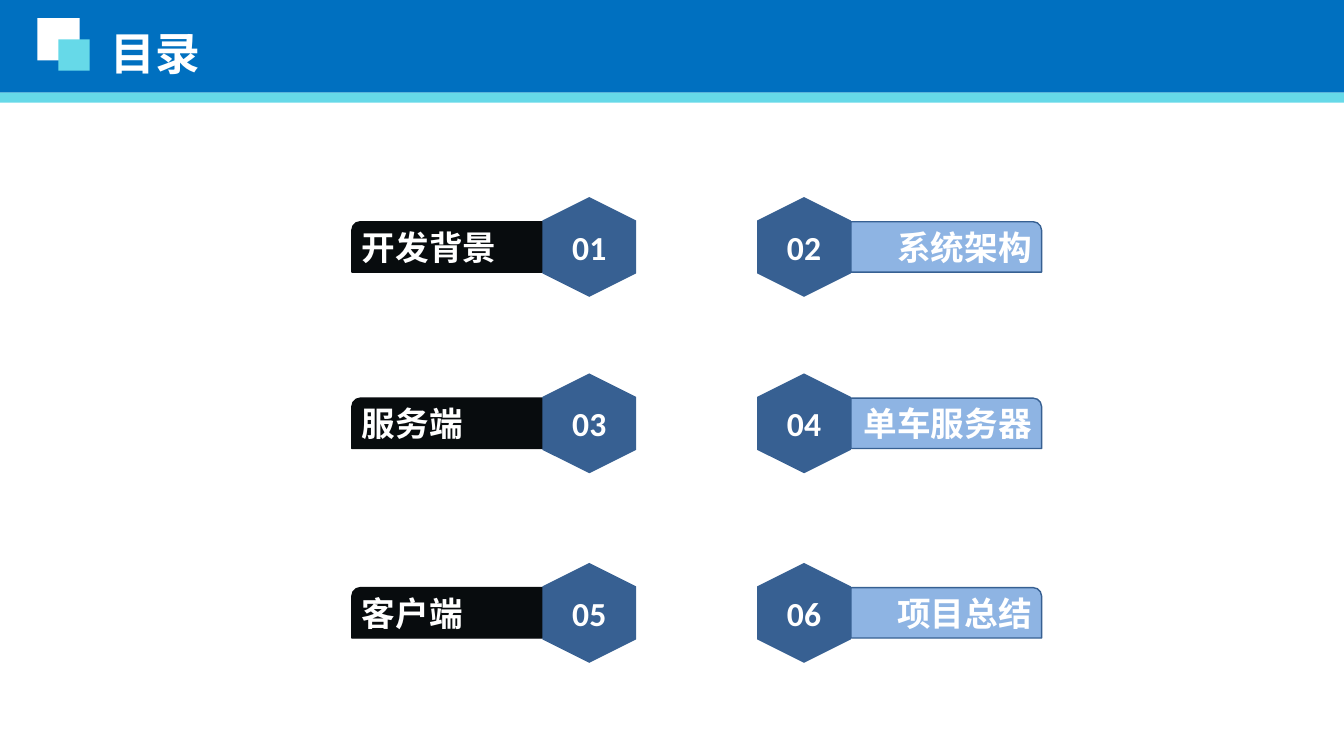
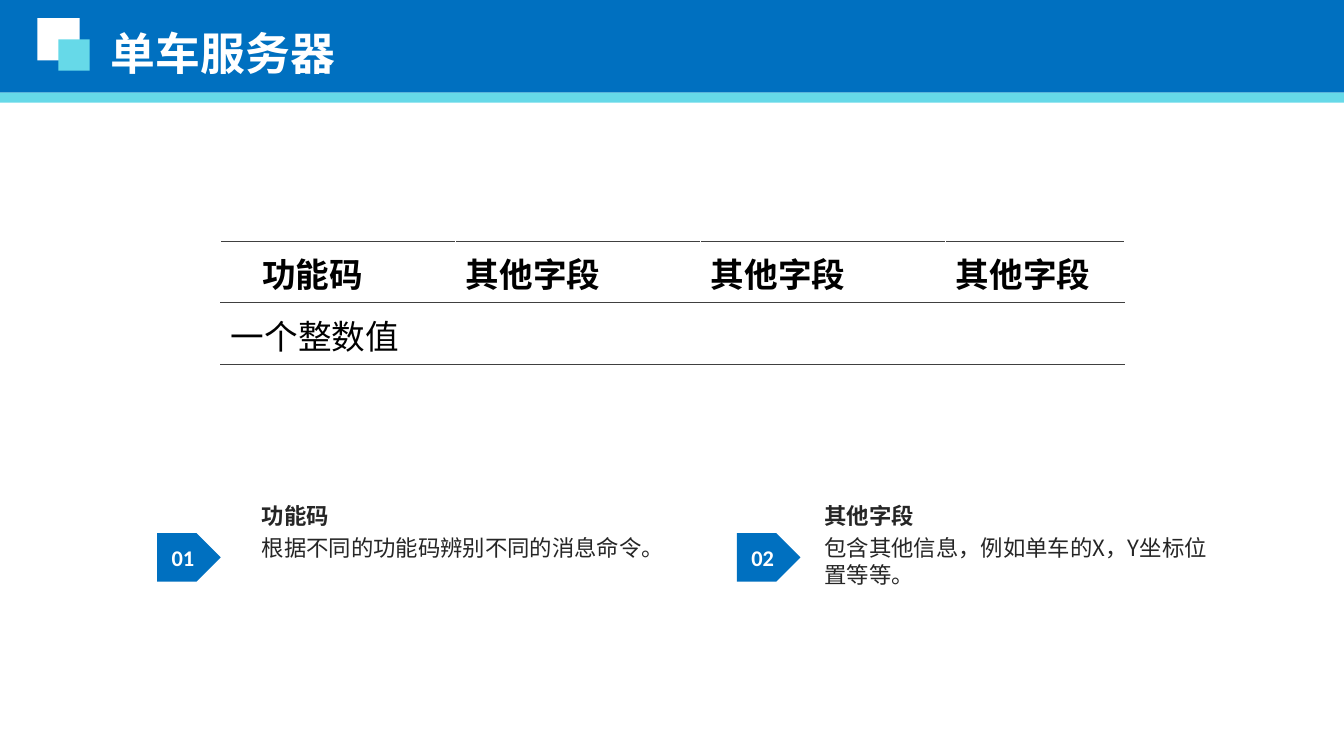
from lxml.etree import SubElement
from pptx import Presentation
from pptx.dml.color import RGBColor
from pptx.enum.shapes import MSO_SHAPE
from pptx.enum.text import MSO_ANCHOR, PP_ALIGN
from pptx.oxml import parse_xml
from pptx.oxml.ns import nsdecls, qn
from pptx.util import Inches, Pt

WHITE = RGBColor(0xFF, 0xFF, 0xFF)
BLACK = RGBColor(0, 0, 0)
INK = RGBColor(0x08, 0x0C, 0x0E)
GRAY = RGBColor(0x26, 0x26, 0x26)
RULE = RGBColor(0x40, 0x40, 0x40)
BLUE = RGBColor(0x00, 0x70, 0xC0)
AQUA = RGBColor(0x66, 0xD9, 0xE8)
NAVY = RGBColor(0x37, 0x60, 0x92)
SKY = RGBColor(0x8E, 0xB4, 0xE3)

HAN = "Noto Sans CJK SC"
LATIN = "Calibri"
WIDTH, HEIGHT = 13.33, 7.5

TITLE = dict(name=HAN, size=Pt(32), bold=True, color=WHITE)
LABEL = dict(TITLE, size=Pt(24))
NUMBER = dict(LABEL, name=LATIN)
TAG = dict(NUMBER, size=Pt(16))
HEAD = dict(NUMBER, color=BLACK)
CELL = dict(HEAD, bold=False)
TERM = dict(TITLE, size=Pt(16), color=GRAY)
NOTE = dict(TERM, bold=False)


def write(para, text, style, align=PP_ALIGN.LEFT):
    run = para.add_run()
    run.text = text
    para.alignment = align
    for key, value in style.items():
        if key == "color":
            run.font.color.rgb = value
        else:
            setattr(run.font, key, value)
    SubElement(run.font._element, qn("a:ea"), typeface=HAN)


def add_block(slide, kind, box, fill, line=None):
    block = slide.shapes.add_shape(kind, *map(Inches, box))
    block.shadow.inherit = False
    block.fill.solid()
    block.fill.fore_color.rgb = fill
    if line is None:
        block.line.fill.background()
    else:
        block.line.color.rgb = line
        block.line.width = Pt(1)
    return block


def add_text(slide, box, lines, align=PP_ALIGN.LEFT):
    """Place a text box; lines holds pairs of text and style."""
    frame = slide.shapes.add_textbox(*map(Inches, box)).text_frame
    frame.word_wrap = True
    for i, (text, style) in enumerate(lines):
        para = frame.add_paragraph() if i else frame.paragraphs[0]
        para.space_before = Pt(4 if i else 0)
        write(para, text, style, align)


def add_slide(deck, title):
    """Add a blank slide with the title band."""
    slide = deck.slides.add_slide(deck.slide_layouts[6])
    for box, fill in (
        ((0, 0, WIDTH, 0.92), BLUE),
        ((0, 0.92, WIDTH, 0.1), AQUA),
        ((0.37, 0.18, 0.42, 0.42), WHITE),
        ((0.58, 0.39, 0.31, 0.31), AQUA),
    ):
        add_block(slide, MSO_SHAPE.RECTANGLE, box, fill)
    add_text(slide, (1, 0.21, 9.69, 0.64), [(title, TITLE)])
    return slide


def add_entry(slide, left, mid, number, text, right):
    """Place a bar and its hexagon; right puts the bar after the hexagon."""
    long, short, bar_w, bar_h = 0.99, 0.93, 1.89, 0.5
    hex_x = left if right else left + bar_w
    bar_x = left + short if right else left
    box = (bar_x, mid - bar_h / 2, bar_w, bar_h)
    fill, line = (SKY, NAVY) if right else (INK, INK)
    bar = add_block(slide, MSO_SHAPE.ROUND_1_RECTANGLE, box, fill, line)
    if not right:
        bar._element.spPr.find(qn("a:xfrm")).set("flipH", "1")
    add_text(slide, box, [(text, LABEL)], PP_ALIGN.RIGHT if right else PP_ALIGN.LEFT)

    box = (hex_x - (long - short) / 2, mid - short / 2, long, short)
    badge = add_block(slide, MSO_SHAPE.HEXAGON, box, NAVY)
    badge.rotation = 270
    frame = badge.text_frame
    frame.vertical_anchor = MSO_ANCHOR.MIDDLE
    frame._txBody.bodyPr.set("vert", "vert")
    write(frame.paragraphs[0], number, NUMBER, PP_ALIGN.CENTER)


def add_rule(cell, sides):
    """Draw thin lines on the given sides of a cell."""
    props = cell._tc.get_or_add_tcPr()
    for i, side in enumerate(sides):
        props.insert(i, parse_xml(
            f'<a:ln{side} {nsdecls("a")} w="{Pt(0.5)}"><a:solidFill>'
            f'<a:srgbClr val="{RULE}"/></a:solidFill></a:ln{side}>'))


def add_grid(slide, left, top, widths, row_h, rows):
    """Place a table ruled by horizontal lines only."""
    box = (left, top, sum(widths), row_h * len(rows))
    table = slide.shapes.add_table(len(rows), len(widths), *map(Inches, box)).table
    table.first_row = table.horz_banding = False
    for col, width in zip(table.columns, widths):
        col.width = Inches(width)
    for r, texts in enumerate(rows):
        for c, text in enumerate(texts):
            cell = table.cell(r, c)
            cell.fill.background()
            add_rule(cell, "TB")
            cell.vertical_anchor = MSO_ANCHOR.BOTTOM
            cell.margin_top = 0
            cell.margin_left = Inches(0.41 if r == c == 0 else 0.1)
            write(cell.text_frame.paragraphs[0], text, CELL if r else HEAD)


def add_point(slide, left, top, gap, number, term, note):
    """Place a numbered tag and, after the gap, a term with its note."""
    tag = add_block(slide, MSO_SHAPE.PENTAGON, (left, top + 0.36, 0.63, 0.48), BLUE)
    tag.text_frame.vertical_anchor = MSO_ANCHOR.MIDDLE
    write(tag.text_frame.paragraphs[0], number, TAG, PP_ALIGN.CENTER)
    add_text(slide, (left + 0.63 + gap, top, 4.16, 1.2), [(term, TERM), (note, NOTE)])


def add_agenda(deck):
    slide = add_slide(deck, "目录")
    rows = (
        (2.45, "开发背景", "系统架构"),
        (4.2, "服务端", "单车服务器"),
        (6.08, "客户端", "项目总结"),
    )
    for i, (mid, *texts) in enumerate(rows):
        for j, text in enumerate(texts):
            number = f"{2 * i + j + 1:02}"
            add_entry(slide, (3.49, 7.51)[j], mid, number, text, j == 1)


def add_server(deck):
    slide = add_slide(deck, "单车服务器")
    rows = (
        ["功能码"] + ["其他字段"] * 3,
        ["一个整数值"] + [""] * 3,
    )
    add_grid(slide, 2.19, 2.39, (2.33, 2.43, 2.43, 1.77), 0.61, rows)
    add_point(slide, 1.56, 4.93, 0.31, "01", "功能码",
              "根据不同的功能码辨别不同的消息命令。")
    add_point(slide, 7.31, 4.93, 0.14, "02", "其他字段",
              "包含其他信息，例如单车的X，Y坐标位置等等。")


def main():
    deck = Presentation()
    deck.slide_width, deck.slide_height = Inches(WIDTH), Inches(HEIGHT)
    add_agenda(deck)
    add_server(deck)
    deck.save("out.pptx")


if __name__ == "__main__":
    main()
